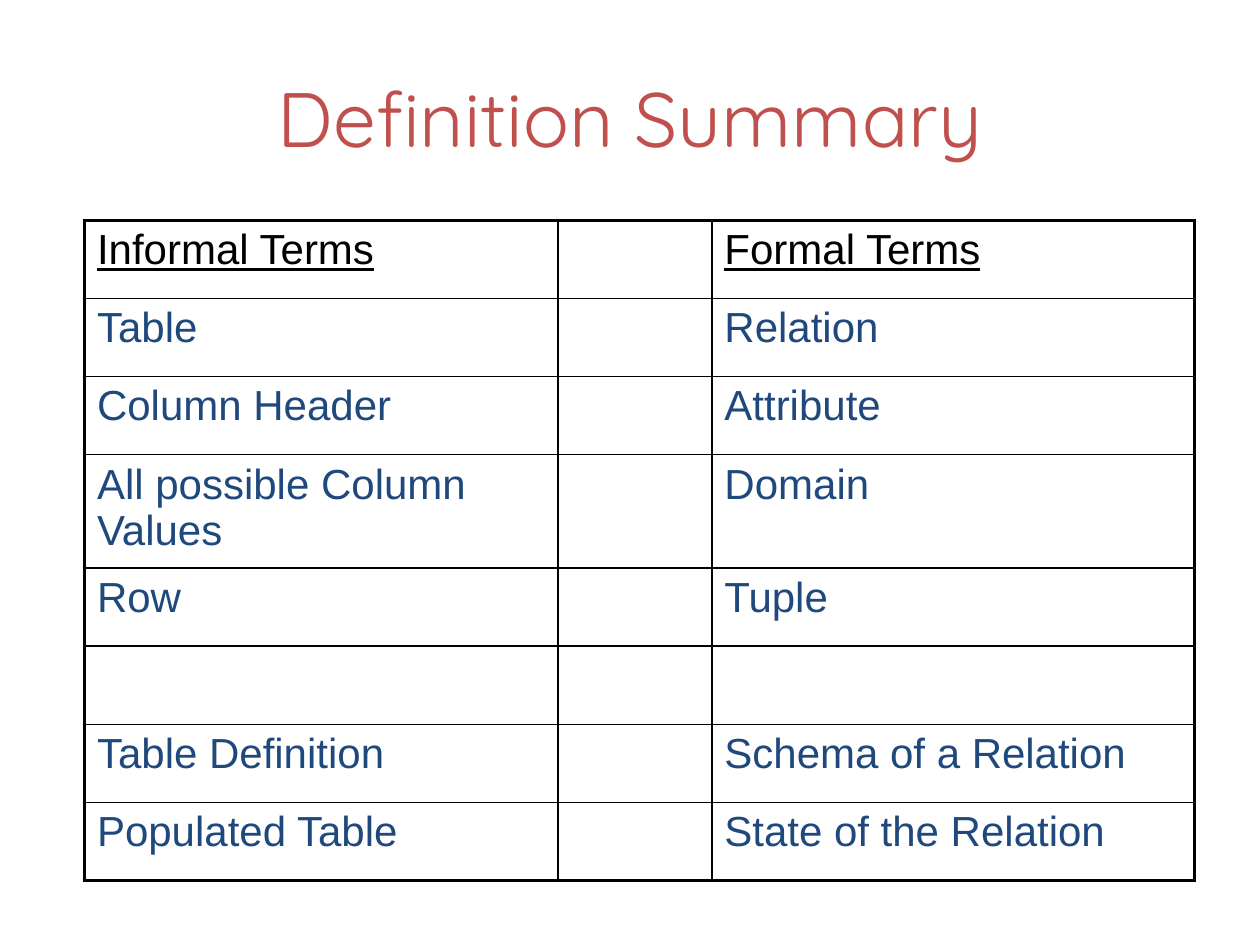
from dataclasses import dataclass

from lxml.etree import SubElement
from pptx import Presentation
from pptx.dml.color import RGBColor
from pptx.enum.text import MSO_ANCHOR, PP_ALIGN
from pptx.oxml.ns import qn
from pptx.util import Inches, Pt


@dataclass(frozen=True)
class Theme:
    """Colours, fonts, type sizes and line widths of the slide."""

    title_color: str = "C0504D"
    term_color: str = "1F497D"
    header_color: str = "000000"
    border_color: str = "000000"
    title_font: str = "Quicksand"
    body_font: str = "Arial"
    title_size: float = 44
    body_size: float = 24
    outer_line: float = 2.25
    inner_line: float = 1


THEME = Theme()
TERMS = [
    ("Informal Terms", "Formal Terms"),
    ("Table", "Relation"),
    ("Column Header", "Attribute"),
    ("All possible Column Values", "Domain"),
    ("Row", "Tuple"),
    ("", ""),
    ("Table Definition", "Schema of a Relation"),
    ("Populated Table", "State of the Relation"),
]
COLUMN_WIDTHS = [3.76, 1.22, 3.83]
ROW_HEIGHT, TALL_ROW_HEIGHT, TALL_ROW = 0.62, 0.9, 3


def write_text(frame, text, *, font, size, color, underline=False, align=PP_ALIGN.LEFT):
    """Put one formatted paragraph in a text frame."""
    para = frame.paragraphs[0]
    para.alignment = align
    span = para.add_run()
    span.text = text
    span.font.name = font
    span.font.size = Pt(size)
    span.font.bold = False
    span.font.underline = underline
    span.font.color.rgb = RGBColor.from_string(color)


def set_borders(cell, widths):
    """Draw the left, right, top and bottom borders of a cell."""
    properties = cell._tc.get_or_add_tcPr()
    for side, width in zip("LRTB", widths):
        line = SubElement(properties, qn(f"a:ln{side}"), w=str(Pt(width)))
        fill = SubElement(line, qn("a:solidFill"))
        SubElement(fill, qn("a:srgbClr"), val=THEME.border_color)


def add_title(page, text):
    """Place and format the title placeholder."""
    box = page.shapes.title
    box.left, box.top = Inches(0.5), Inches(0.3)
    box.width, box.height = Inches(9), Inches(1.25)
    box.text_frame.vertical_anchor = MSO_ANCHOR.MIDDLE
    write_text(box.text_frame, text, font=THEME.title_font, size=THEME.title_size,
               color=THEME.title_color, align=PP_ALIGN.CENTER)


def add_terms_table(page, terms):
    """Add the table that pairs informal with formal terms."""
    heights = [TALL_ROW_HEIGHT if index == TALL_ROW else ROW_HEIGHT
               for index in range(len(terms))]
    table = page.shapes.add_table(
        len(terms), len(COLUMN_WIDTHS), Inches(0.67), Inches(1.75),
        Inches(sum(COLUMN_WIDTHS)), Inches(sum(heights))).table
    table.first_row = table.horz_banding = False
    for column, width in zip(table.columns, COLUMN_WIDTHS):
        column.width = Inches(width)
    last_row, last_column = len(terms) - 1, len(COLUMN_WIDTHS) - 1
    for row, (informal, formal) in enumerate(terms):
        table.rows[row].height = Inches(heights[row])
        for column, text in enumerate((informal, "", formal)):
            cell = table.cell(row, column)
            edges = (column == 0, column == last_column, row == 0, row == last_row)
            set_borders(cell, [THEME.outer_line if edge else THEME.inner_line
                               for edge in edges])
            cell.fill.background()
            if text:
                write_text(cell.text_frame, text, font=THEME.body_font,
                           size=THEME.body_size, underline=row == 0,
                           color=THEME.header_color if row == 0 else THEME.term_color)


def main():
    """Build and save the slide."""
    deck = Presentation()
    deck.slide_width, deck.slide_height = Inches(10), Inches(7.5)
    page = deck.slides.add_slide(deck.slide_layouts[5])
    add_title(page, "Definition Summary")
    add_terms_table(page, TERMS)
    deck.save("out.pptx")


if __name__ == "__main__":
    main()
